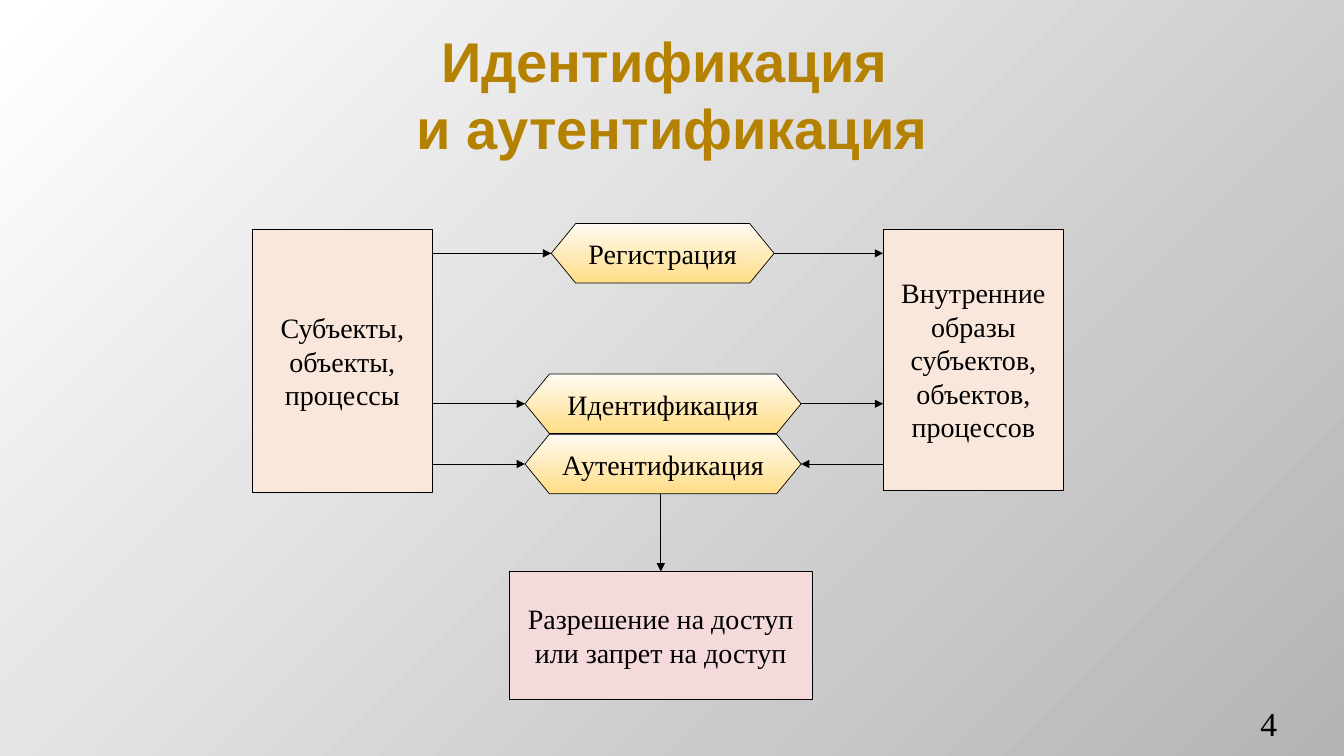
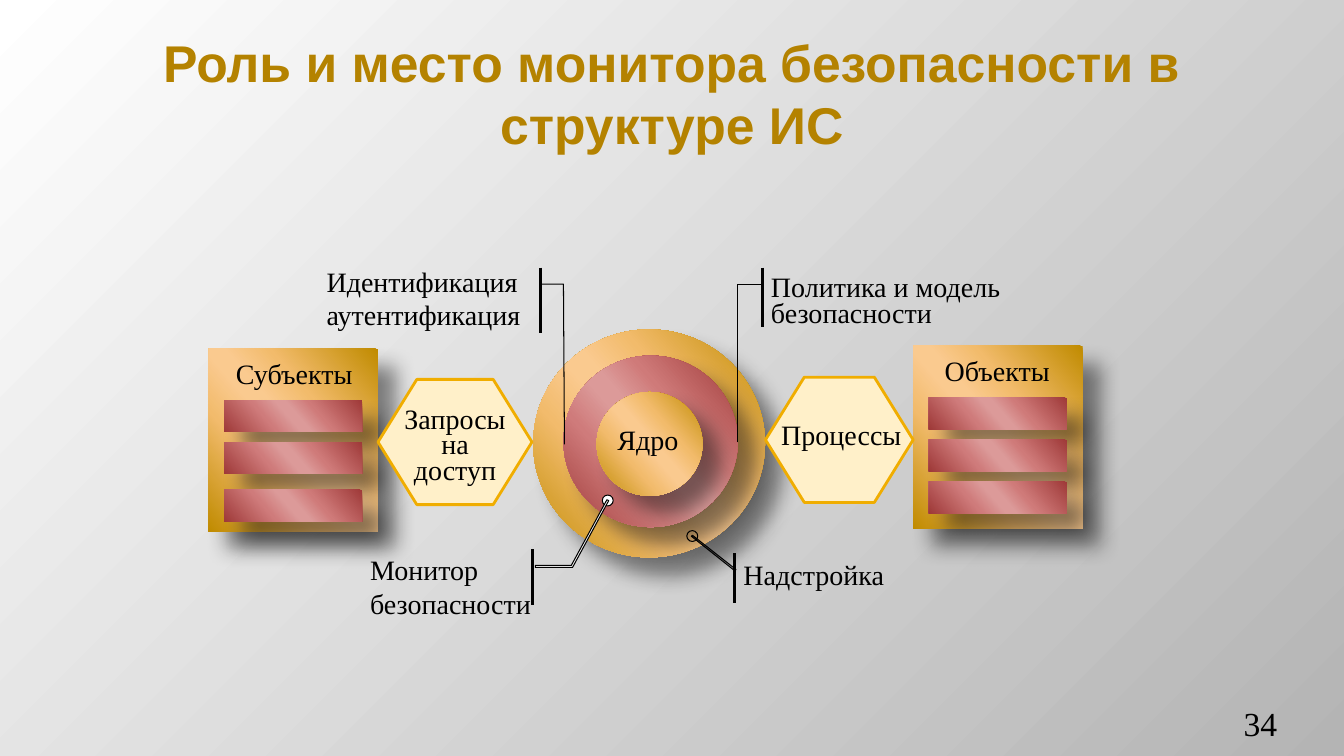
from dataclasses import dataclass

from lxml import etree
from pptx import Presentation
from pptx.dml.color import RGBColor
from pptx.dml.fill import FillFormat
from pptx.enum.shapes import MSO_CONNECTOR, MSO_SHAPE
from pptx.enum.text import MSO_ANCHOR, MSO_AUTO_SIZE, PP_ALIGN
from pptx.oxml.ns import qn
from pptx.shapes.autoshape import Shape
from pptx.shapes.connector import Connector
from pptx.slide import Slide
from pptx.text.text import TextFrame
from pptx.util import Pt

RECTANGLE, HEXAGON, OVAL = MSO_SHAPE.RECTANGLE, MSO_SHAPE.HEXAGON, MSO_SHAPE.OVAL
STRAIGHT = MSO_CONNECTOR.STRAIGHT
LEFT, CENTER, RIGHT = PP_ALIGN.LEFT, PP_ALIGN.CENTER, PP_ALIGN.RIGHT
TOP, MIDDLE, BOTTOM = MSO_ANCHOR.TOP, MSO_ANCHOR.MIDDLE, MSO_ANCHOR.BOTTOM
TITLE_ONLY = 5

Point = tuple[float, float]
Stops = tuple[tuple[int, str], ...]


@dataclass(frozen=True)
class Theme:
    title_font: str = "Arial"
    body_font: str = "Times New Roman"
    title_size: float = 40
    long_title_size: float = 36.9
    body_size: float = 20
    number_size: float = 24
    tight_pitch: float = 18.5
    title: str = "B48200"
    ink: str = "000000"
    white: str = "FFFFFF"
    peach: str = "FAE7DC"
    pink: str = "F4DADA"
    cream: str = "FFF0C9"
    amber: str = "F0AD00"
    backdrop: Stops = ((0, "FFFFFF"), (100, "B4B4B4"))
    yellow: Stops = ((0, "FFFBF2"), (100, "FFDD86"))
    gold: Stops = ((0, "C08B00"), (33, "F2BB6B"), (47, "FACA8F"),
                   (53, "FACA8F"), (68, "F2BB6C"), (100, "C08B00"))
    red: Stops = ((0, "9F3A39"), (33, "CF7A79"), (47, "DC9A99"),
                  (53, "DC9A99"), (68, "CF7B7B"), (100, "9F3A39"))


THEME = Theme()


@dataclass(frozen=True)
class Box:
    left: float
    top: float
    width: float
    height: float

    def lengths(self) -> tuple[Pt, Pt, Pt, Pt]:
        return Pt(self.left), Pt(self.top), Pt(self.width), Pt(self.height)


@dataclass(frozen=True)
class Label:
    box: Box
    lines: tuple[str, ...]
    align: PP_ALIGN = LEFT
    pitch: float | None = None


@dataclass(frozen=True)
class Panel:
    left: float
    top: float
    bar_offsets: tuple[float, ...]


@dataclass(frozen=True)
class Pointer:
    """A thin rod that ends in a ring."""
    outline: tuple[Point, ...]
    ring_center: Point
    fill: str | None


TITLE_BOX = Box(48, 21.6, 864, 90)
NUMBER_BOX = Box(832.3, 505.4, 79.9, 28.8)


# Fills, lines and shadows
def set_gradient(fill: FillFormat, owner: etree._Element, stops: Stops,
                 angle: int | None) -> None:
    """Linear gradient at an angle, or from the top left corner without one."""
    fill.gradient()
    gradient = next(owner.iter(qn("a:gradFill")))
    for child in list(gradient):
        gradient.remove(child)
    stop_list = etree.SubElement(gradient, qn("a:gsLst"))
    for position, color in stops:
        stop = etree.SubElement(stop_list, qn("a:gs"), pos=str(position * 1000))
        etree.SubElement(stop, qn("a:srgbClr"), val=color)
    if angle is not None:
        etree.SubElement(gradient, qn("a:lin"), ang=str(angle * 60000), scaled="0")
    else:
        corner = etree.SubElement(gradient, qn("a:path"), path="circle")
        etree.SubElement(corner, qn("a:fillToRect"), r="100000", b="100000")


def style_shape(shape: Shape, fill: str | Stops | None, line: str | None = None,
                width: float = 0, angle: int = 90) -> None:
    shape.shadow.inherit = False
    if fill is None:
        shape.fill.background()
    elif isinstance(fill, str):
        shape.fill.solid()
        shape.fill.fore_color.rgb = RGBColor.from_string(fill)
    else:
        set_gradient(shape.fill, shape._element.spPr, fill, angle)
    if line is None:
        shape.line.fill.background()
    else:
        shape.line.color.rgb = RGBColor.from_string(line)
        shape.line.width = Pt(width)


def add_glossy(slide: Slide, kind: MSO_SHAPE, box: Box, stops: Stops) -> None:
    """Shape with a diagonal sheen and a soft shadow at the lower right."""
    shape = slide.shapes.add_shape(kind, *box.lengths())
    style_shape(shape, stops, angle=139)
    effects = shape._element.spPr.find(qn("a:effectLst"))
    shadow = etree.SubElement(effects, qn("a:outerShdw"), blurRad=str(Pt(15)),
                              dist=str(Pt(18)), dir=str(45 * 60000),
                              algn="ctr", rotWithShape="0")
    color = etree.SubElement(shadow, qn("a:srgbClr"), val=THEME.ink)
    etree.SubElement(color, qn("a:alpha"), val="45000")


# Text
def write_text(frame: TextFrame, lines: tuple[str, ...], align: PP_ALIGN,
               anchor: MSO_ANCHOR, size: float = THEME.body_size,
               font: str = THEME.body_font, color: str = THEME.ink,
               bold: bool = False, pitch: float | None = None) -> None:
    frame.vertical_anchor = anchor
    paragraph = frame.paragraphs[0]
    paragraph.alignment = align
    if pitch:
        paragraph.line_spacing = Pt(pitch)
    for index, line in enumerate(lines):
        if index:
            paragraph.add_line_break()
        run = paragraph.add_run()
        run.text = line
        run.font.name = font
        run.font.size = Pt(size)
        run.font.bold = bold
        run.font.color.rgb = RGBColor.from_string(color)


def add_label(slide: Slide, label: Label, anchor: MSO_ANCHOR = TOP,
              size: float = THEME.body_size) -> None:
    frame = slide.shapes.add_textbox(*label.box.lengths()).text_frame
    frame.word_wrap = True
    frame.margin_left = frame.margin_right = 0
    frame.margin_top = frame.margin_bottom = Pt(3.6) if anchor == BOTTOM else 0
    write_text(frame, label.lines, label.align, anchor, size, pitch=label.pitch)


# Diagram parts
def add_node(slide: Slide, kind: MSO_SHAPE, box: Box, fill: str | Stops,
             text: str) -> Shape:
    shape = slide.shapes.add_shape(kind, *box.lengths())
    style_shape(shape, fill, THEME.ink, 0.5)
    frame = shape.text_frame
    frame.word_wrap = True
    if kind == HEXAGON:
        shape.adjustments[0] = 0.41
        frame.margin_left = frame.margin_right = 0
    write_text(frame, (text,), CENTER, MIDDLE)
    return shape


def add_line(slide: Slide, start: Point, end: Point, width: float = 0,
             arrow: bool = False) -> Connector:
    line = slide.shapes.add_connector(STRAIGHT, *(Pt(v) for v in (*start, *end)))
    line.line.color.rgb = RGBColor.from_string(THEME.ink)
    line.line.width = Pt(width)
    if arrow:
        etree.SubElement(line.line._get_or_add_ln(), qn("a:tailEnd"), type="triangle")
    etree.SubElement(line._element.spPr, qn("a:effectLst"))
    return line


def add_outline(slide: Slide, points: tuple[Point, ...], fill: str | None,
                width: float, close: bool) -> None:
    start, *rest = [(Pt(x), Pt(y)) for x, y in points]
    builder = slide.shapes.build_freeform(*start)
    builder.add_line_segments(rest, close=close)
    style_shape(builder.convert_to_shape(), fill, THEME.ink, width)


def add_pointer(slide: Slide, pointer: Pointer) -> None:
    radius = 3.9
    x, y = pointer.ring_center
    ring = slide.shapes.add_shape(
        OVAL, *Box(x - radius, y - radius, 2 * radius, 2 * radius).lengths())
    style_shape(ring, pointer.fill, THEME.ink, 0.75)
    add_outline(slide, pointer.outline, pointer.fill, 0.75, close=True)


def add_panel(slide: Slide, panel: Panel) -> None:
    add_glossy(slide, RECTANGLE, Box(panel.left, panel.top, 121, 130.5), THEME.gold)
    for offset in panel.bar_offsets:
        bar = Box(panel.left + 11.2, panel.top + offset, 98.6, 22.5)
        add_glossy(slide, RECTANGLE, bar, THEME.red)


# Slides
def add_titled_slide(presentation: Presentation, lines: tuple[str, ...],
                     size: float, number: str) -> Slide:
    slide = presentation.slides.add_slide(presentation.slide_layouts[TITLE_ONLY])
    title = slide.shapes.title
    title.left, title.top, title.width, title.height = TITLE_BOX.lengths()
    title.text_frame.word_wrap = True
    title.text_frame.auto_size = MSO_AUTO_SIZE.NONE
    write_text(title.text_frame, lines, CENTER, MIDDLE, size, THEME.title_font,
               THEME.title, bold=True)
    add_label(slide, Label(NUMBER_BOX, (number,), RIGHT), BOTTOM, THEME.number_size)
    return slide


def build_identification(presentation: Presentation) -> None:
    slide = add_titled_slide(presentation, ("Идентификация ", "и аутентификация"),
                             THEME.title_size, "4")
    subjects = Box(180, 163.5, 129, 188.5)
    images = Box(630.8, 163.5, 129, 186.5)
    add_node(slide, RECTANGLE, subjects, THEME.peach, "Субъекты, объекты, процессы")
    add_node(slide, RECTANGLE, images, THEME.peach,
             "Внутренние образы субъектов, объектов, процессов")
    decision = add_node(slide, RECTANGLE, Box(363.6, 408.2, 216.8, 91.4), THEME.pink,
                        "Разрешение на доступ или запрет на доступ")

    # Each step is linked to both side boxes
    steps = (("Регистрация", Box(393.8, 159.7, 159.2, 42.5), True),
             ("Идентификация", Box(375, 267.2, 197.2, 42.5), True),
             ("Аутентификация", Box(375, 310.2, 197.2, 42.5), False))
    for text, box, outgoing in steps:
        add_node(slide, HEXAGON, box, THEME.yellow, text)
        y = box.top + box.height / 2
        add_line(slide, (subjects.left + subjects.width, y), (box.left, y), 0.5, True)
        ends = ((box.left + box.width, y), (images.left, y))
        add_line(slide, *(ends if outgoing else ends[::-1]), 0.5, True)

    result = add_line(slide, (472, 352.7), (472, 408.2), 0.5, True)
    result.end_connect(decision, 0)


def build_monitor(presentation: Presentation) -> None:
    slide = add_titled_slide(presentation,
                             ("Роль и место монитора безопасности в структуре ИС",),
                             THEME.long_title_size, "34")
    # Concentric rings
    for box, stops in ((Box(380.9, 235.3, 165.6, 162.8), THEME.gold),
                       (Box(402.5, 254, 124.6, 122.5), THEME.red),
                       (Box(426.2, 280, 75.6, 74.2), THEME.gold)):
        add_glossy(slide, OVAL, box, stops)

    # Side panels
    for panel in (Panel(149, 249, (37, 67, 101)), Panel(652.3, 247, (37, 67, 97))):
        add_panel(slide, panel)

    # Hexagons between panels and rings
    for box in (Box(270, 271, 110, 89.5), Box(546.8, 269.4, 105.5, 89.5)):
        hexagon = slide.shapes.add_shape(HEXAGON, *box.lengths())
        hexagon.adjustments[0] = 0.31
        style_shape(hexagon, THEME.cream, THEME.amber, 2)

    # Callout bars, leaders and pointers
    for x, top, bottom in ((385.9, 191.2, 237.6), (544.4, 191.2, 233.3),
                           (380.2, 392.4, 432), (524.9, 395.3, 430.8)):
        add_line(slide, (x, top), (x, bottom))
    for leader in (((403.2, 317.5), (402.5, 203), (385.9, 203)),
                   ((526.5, 316), (526.5, 203), (544.4, 203))):
        add_outline(slide, leader, None, 0, close=False)
    for pointer in (
            Pointer(((434.8, 357.6), (409, 405.3), (382.4, 405.3), (382.4, 403.9),
                     (408.1, 403.9), (433.5, 357)), (434.1, 357.5), THEME.white),
            Pointer(((494.6, 382.3), (525.7, 406.8), (525, 407.8), (493.9, 383.1)),
                    (494.5, 382.9), None)):
        add_pointer(slide, pointer)

    # Labels
    for label in (
            Label(Box(168.5, 254.3, 90, 24), ("Субъекты",)),
            Label(Box(674.8, 252.7, 80, 24), ("Объекты",)),
            Label(Box(280, 292, 90, 56), ("Запросы", "на", "доступ"), CENTER,
                  THEME.tight_pitch),
            Label(Box(558, 298.2, 92, 24), ("Процессы",)),
            Label(Box(441, 302, 50, 24), ("Ядро",)),
            Label(Box(233.3, 188.8, 150, 48), ("Идентификация", "аутентификация")),
            Label(Box(550.7, 198, 180, 37), ("Политика и модель", "безопасности"),
                  LEFT, THEME.tight_pitch),
            Label(Box(264.3, 394.7, 120, 48), ("Монитор", "безопасности")),
            Label(Box(531, 398.5, 110, 24), ("Надстройка",))):
        add_label(slide, label)


def main() -> None:
    presentation = Presentation()
    presentation.slide_width, presentation.slide_height = Pt(960), Pt(540)
    master = presentation.slide_master
    set_gradient(master.background.fill, master._element, THEME.backdrop, None)
    build_identification(presentation)
    build_monitor(presentation)
    presentation.save("out.pptx")


if __name__ == "__main__":
    main()
